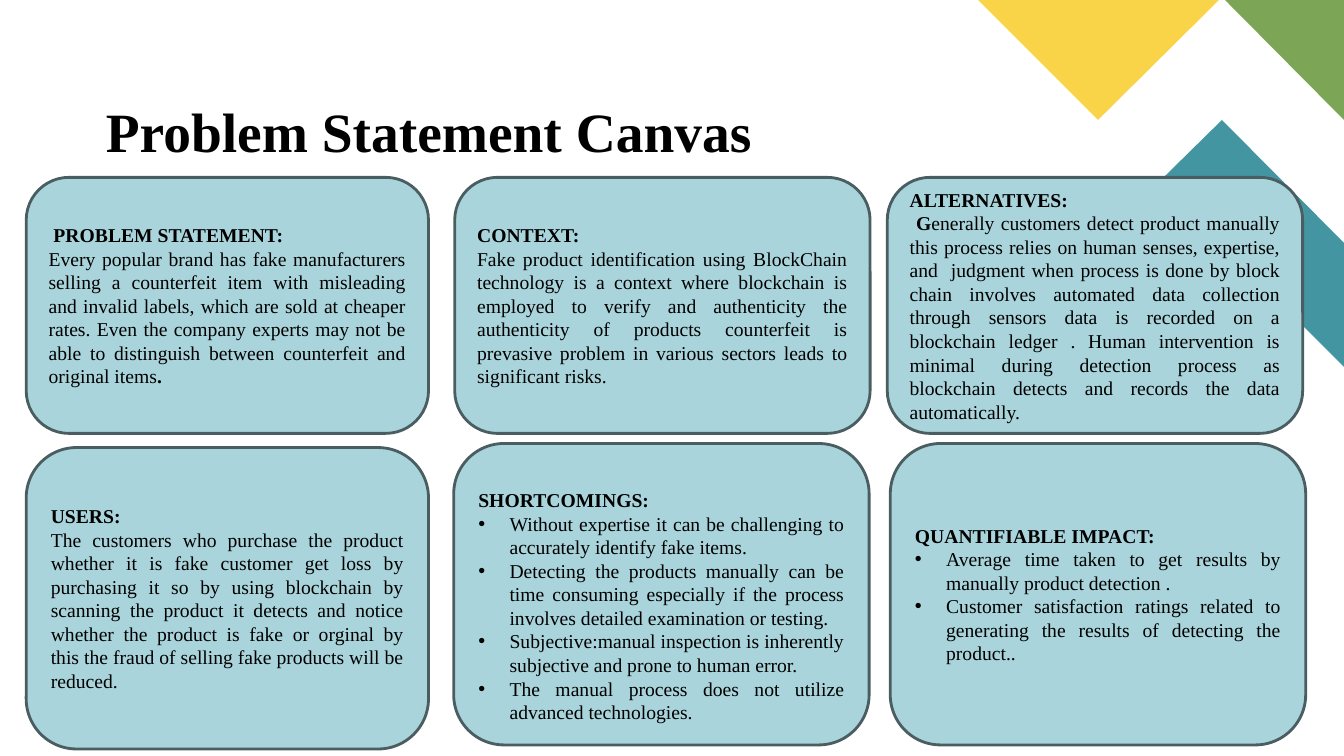
from lxml import etree
from pptx import Presentation
from pptx.dml.color import RGBColor
from pptx.enum.shapes import MSO_SHAPE
from pptx.enum.text import MSO_ANCHOR, PP_ALIGN
from pptx.oxml.ns import qn
from pptx.util import Inches, Pt

FONT = "Times New Roman"
BLACK = RGBColor(0x00, 0x00, 0x00)
TEAL = RGBColor(0x44, 0x95, 0xA2)
GREEN = RGBColor(0x7C, 0xA6, 0x55)
YELLOW = RGBColor(0xF9, 0xD4, 0x48)
CARD_FILL = RGBColor(0xA9, 0xD4, 0xDB)
CARD_LINE = RGBColor(0x4A, 0x5D, 0x60)

CORNER_SHAPES = [
    (TEAL, [(13.33, 3.64), (13.33, 2.41), (12.12, 1.19), (11.5, 1.8)]),
    (GREEN, [(13.33, 1.19), (13.33, 0), (12.15, 0)]),
    (YELLOW, [(9.7, 0), (10.89, 1.19), (12.09, 0)]),
]

# left, top, width, height, top inset, heading, bulleted, paragraphs (*bold*)
CARDS = [
    (0.26, 1.76, 3.99, 2.54, 0.05, " PROBLEM STATEMENT:", False, [
        "Every popular brand has fake manufacturers selling a counterfeit item "
        "with misleading and invalid labels, which are sold at cheaper rates. "
        "Even the company experts may not be able to distinguish between "
        "counterfeit and original items*.*"]),
    (4.51, 1.76, 4.12, 2.54, 0.05, "CONTEXT:", False, [
        "Fake product identification using BlockChain technology is a context "
        "where blockchain is employed to verify and authenticity the "
        "authenticity of products counterfeit is prevasive problem in various "
        "sectors leads to significant risks."]),
    (8.8, 1.76, 4.12, 2.54, 0.05, "ALTERNATIVES:", False, [
        "* G*enerally customers detect product manually this process relies on "
        "human senses, expertise, and  judgment when process is done by block "
        "chain involves automated data collection through sensors data is "
        "recorded on a blockchain ledger . Human intervention is minimal during "
        "detection process as blockchain detects and records the "
        "data automatically."]),
    (0.26, 4.44, 3.99, 2.99, 0.05, "USERS:", False, [
        "The customers who purchase the product whether it is fake customer get "
        "loss by purchasing it so by using blockchain by scanning the product "
        "it detects and notice whether the product is fake or orginal by this "
        "the fraud of selling fake products will be reduced."]),
    (4.5, 4.4, 4.12, 2.99, 0.28, "SHORTCOMINGS:", True, [
        "Without expertise it can be challenging to accurately identify fake "
        "items.",
        "Detecting the products manually can be time consuming especially if "
        "the process involves detailed examination or testing.",
        "Subjective:manual inspection is inherently subjective and prone to "
        "human error.",
        "The manual process does not utilize advanced technologies."]),
    (8.83, 4.4, 4.12, 2.99, 0.05, "QUANTIFIABLE IMPACT:", True, [
        "Average time taken to get results by manually product detection .",
        "Customer satisfaction ratings related to generating the results of "
        "detecting the product.."]),
]


def add_run(p, text, size, bold):
    r = p.add_run()
    r.text = text
    r.font.name = FONT
    r.font.size = Pt(size)
    r.font.bold = bold
    r.font.color.rgb = BLACK


def add_bullet(p):
    pPr = p._p.get_or_add_pPr()
    pPr.set("marL", str(Inches(0.31)))
    pPr.set("indent", str(Inches(-0.31)))
    etree.SubElement(pPr, qn("a:buFont")).set("typeface", "Arial")
    etree.SubElement(pPr, qn("a:buChar")).set("char", "•")


prs = Presentation()
prs.slide_width = Inches(13.33)
prs.slide_height = Inches(7.5)
s = prs.slides.add_slide(prs.slide_layouts[6])

for color, points in CORNER_SHAPES:
    corners = [(Inches(x), Inches(y)) for x, y in points]
    builder = s.shapes.build_freeform(*corners[0])
    builder.add_line_segments(corners[1:], close=True)
    sp = builder.convert_to_shape()
    sp.shadow.inherit = False
    sp.fill.solid()
    sp.fill.fore_color.rgb = color
    sp.line.fill.background()

title = s.shapes.add_textbox(Inches(1.05), Inches(0.96), Inches(6.67), Inches(0.67))
tf = title.text_frame
tf.word_wrap = True
tf.vertical_anchor = MSO_ANCHOR.BOTTOM
tf.margin_left = tf.margin_right = tf.margin_top = tf.margin_bottom = 0
tf.paragraphs[0].line_spacing = 0.9
add_run(tf.paragraphs[0], "Problem Statement Canvas", 39.6, True)

for left, top, width, height, inset, heading, bulleted, paragraphs in CARDS:
    sp = s.shapes.add_shape(MSO_SHAPE.ROUNDED_RECTANGLE, Inches(left), Inches(top),
                            Inches(width), Inches(height))
    sp.shadow.inherit = False
    sp.fill.solid()
    sp.fill.fore_color.rgb = CARD_FILL
    sp.line.color.rgb = CARD_LINE
    sp.line.width = Pt(2)
    tf = sp.text_frame
    tf.word_wrap = True
    tf.vertical_anchor = MSO_ANCHOR.MIDDLE
    tf.margin_top = Inches(inset)
    p = tf.paragraphs[0]
    p.alignment = PP_ALIGN.LEFT
    add_run(p, heading, 14, True)
    for paragraph in paragraphs:
        p = tf.add_paragraph()
        p.alignment = PP_ALIGN.JUSTIFY
        if bulleted:
            add_bullet(p)
        for i, piece in enumerate(paragraph.split("*")):
            if piece:
                add_run(p, piece, 14, i % 2 == 1)

prs.save("out.pptx")
